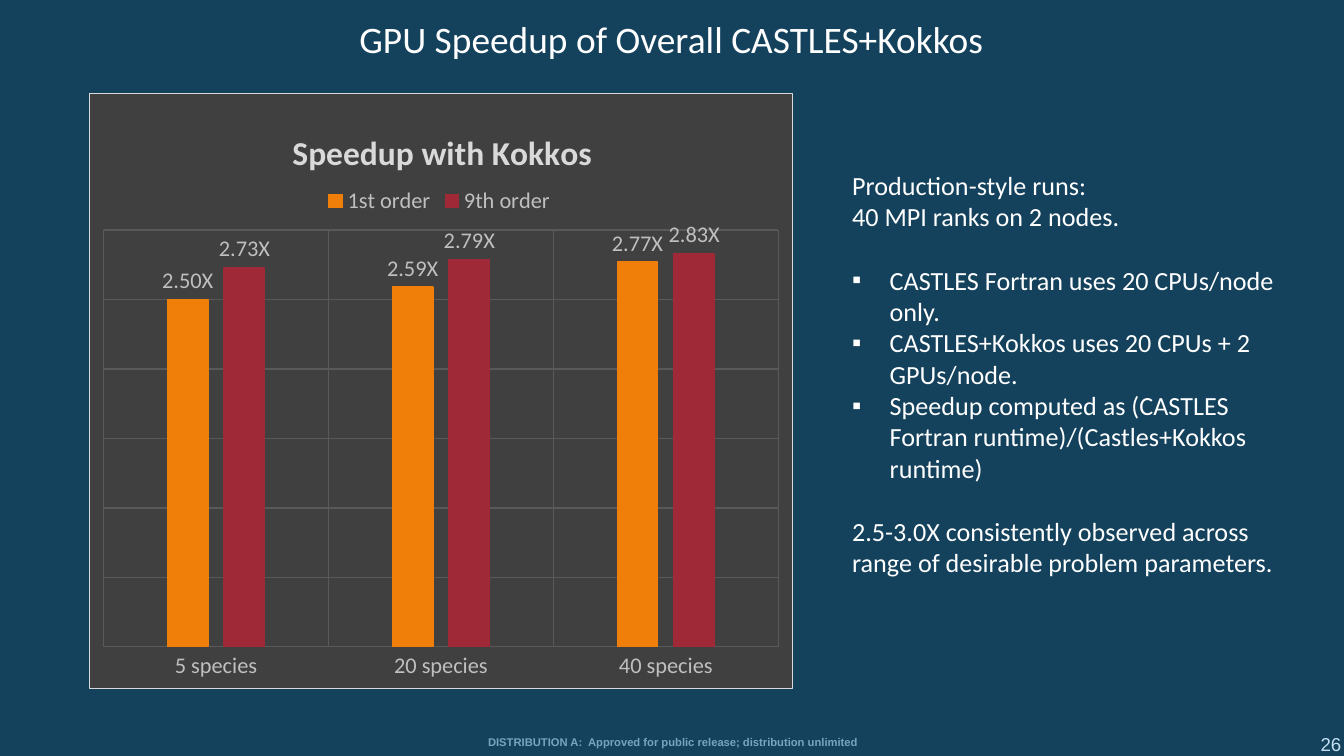
from lxml.etree import SubElement
from pptx import Presentation
from pptx.chart.data import CategoryChartData
from pptx.dml.color import RGBColor
from pptx.enum.chart import XL_CHART_TYPE, XL_LABEL_POSITION, XL_LEGEND_POSITION, XL_TICK_MARK
from pptx.enum.text import MSO_ANCHOR, MSO_AUTO_SIZE, PP_ALIGN
from pptx.oxml import parse_xml
from pptx.oxml.ns import nsdecls, qn
from pptx.util import Cm, Pt

BACKGROUND = "14425D"
WHITE = "FFFFFF"
PANEL = "404040"
GRID = "595959"
LABEL = "BFBFBF"
BORDER = "D9D9D9"

CATEGORIES = ["5 species", "20 species", "40 species"]
SERIES = [
    ("1st order", "F07F09", [2.50, 2.59, 2.77]),
    ("9th order", "9F2936", [2.73, 2.79, 2.83]),
]
BODY = [
    ("Production-style runs:", False, 0),
    ("40 MPI ranks on 2 nodes.", False, 0),
    ("CASTLES Fortran uses 20 CPUs/node only.", True, 17),
    ("CASTLES+Kokkos uses 20 CPUs + 2 GPUs/node.", True, 0),
    ("Speedup computed as (CASTLES Fortran runtime)/(Castles+Kokkos runtime)", True, 0),
    ("2.5-3.0X consistently observed across range of desirable problem parameters.", False, 17),
]


def color(value):
    return RGBColor.from_string(value)


def format_font(font, size, fill, name="Calibri", bold=False):
    font.size = Pt(size)
    font.name = name
    font.bold = bold
    font.color.rgb = color(fill)


def write_text(para, text, size=14, fill=WHITE, name="Calibri", bold=False,
               align=PP_ALIGN.LEFT, before=0):
    para.alignment = align
    para.space_before = Pt(before)
    span = para.add_run()
    span.text = text
    format_font(span.font, size, fill, name, bold)


def set_bullet(para, bulleted):
    properties = para._p.get_or_add_pPr()
    indent = Cm(0.71) if bulleted else 0
    properties.set("marL", str(indent))
    properties.set("indent", str(-indent))
    if bulleted:
        SubElement(properties, qn("a:buChar"), char="▪")
    else:
        SubElement(properties, qn("a:buNone"))


def place(box, left, top, width, height, anchor):
    box.left, box.top = Cm(left), Cm(top)
    box.width, box.height = Cm(width), Cm(height)
    frame = box.text_frame
    frame.word_wrap = True
    frame.auto_size = MSO_AUTO_SIZE.NONE
    frame.vertical_anchor = anchor
    return frame


def add_text_box(page, left, top, width, height, text, anchor=MSO_ANCHOR.TOP, **style):
    box = page.shapes.add_textbox(0, 0, 0, 0)
    frame = place(box, left, top, width, height, anchor)
    write_text(frame.paragraphs[0], text, **style)


def fill_body(box):
    frame = place(box, 15.85, 3.05, 8.81, 8.03, MSO_ANCHOR.MIDDLE)
    for index, (text, bulleted, before) in enumerate(BODY):
        para = frame.add_paragraph() if index else frame.paragraphs[0]
        set_bullet(para, bulleted)
        write_text(para, text, before=before)


def set_layout(part, inner=False, **fractions):
    for old in part.findall(qn("c:layout")):
        part.remove(old)
    target = '<c:layoutTarget val="inner"/>' if inner else ""
    modes = "".join(f'<c:{key}Mode val="edge"/>' for key in "xy")
    values = "".join(f'<c:{key} val="{value}"/>' for key, value in fractions.items())
    layout = parse_xml(
        f'<c:layout {nsdecls("c")}><c:manualLayout>{target}{modes}{values}'
        "</c:manualLayout></c:layout>"
    )
    part.insert(0 if inner else 1, layout)


def style_panel(chart):
    panel = parse_xml(
        f'<c:spPr {nsdecls("c", "a")}>'
        f'<a:solidFill><a:srgbClr val="{PANEL}"/></a:solidFill>'
        f'<a:ln w="{Pt(0.75)}"><a:solidFill><a:srgbClr val="{BORDER}"/></a:solidFill></a:ln>'
        "</c:spPr>"
    )
    chart.element.find(qn("c:txPr")).addprevious(panel)


def style_axis(axis):
    axis.has_major_gridlines = True
    line = axis.major_gridlines.format.line
    line.color.rgb = color(GRID)
    line.width = Pt(0.75)
    axis.major_tick_mark = XL_TICK_MARK.NONE
    axis.format.line.fill.background()
    format_font(axis.tick_labels.font, 12, LABEL)


def style_series(series, fill):
    series.format.fill.solid()
    series.format.fill.fore_color.rgb = color(fill)
    series.format.line.color.rgb = color(fill)
    series.format.line.width = Pt(0.75)
    labels = series.data_labels
    labels.show_value = True
    labels.number_format = '0.00"X"'
    labels.number_format_is_linked = False
    labels.position = XL_LABEL_POSITION.OUTSIDE_END
    format_font(labels.font, 12, LABEL)


def add_speedup_chart(page):
    data = CategoryChartData()
    data.categories = CATEGORIES
    for name, fill, values in SERIES:
        data.add_series(name, values)
    chart = page.shapes.add_chart(
        XL_CHART_TYPE.COLUMN_CLUSTERED, Cm(1.68), Cm(1.75), Cm(13.31), Cm(11.28), data
    ).chart
    format_font(chart.font, 10, LABEL)
    style_panel(chart)

    chart.has_title = True
    write_text(chart.chart_title.text_frame.paragraphs[0], "Speedup with Kokkos",
               size=18, fill=BORDER, bold=True, align=PP_ALIGN.CENTER)
    chart.has_legend = True
    chart.legend.position = XL_LEGEND_POSITION.TOP
    chart.legend.include_in_layout = False
    format_font(chart.legend.font, 12, LABEL)

    style_axis(chart.category_axis)
    style_axis(chart.value_axis)
    chart.value_axis.minimum_scale = 0
    chart.value_axis.maximum_scale = 3
    chart.value_axis.major_unit = 0.5
    chart.value_axis.visible = False

    plot = chart.plots[0]
    plot.gap_width = 315
    plot.overlap = -40
    plot.vary_by_categories = False
    for series, (name, fill, values) in zip(plot.series, SERIES):
        style_series(series, fill)

    body = chart.element.find(qn("c:chart"))
    set_layout(body.find(qn("c:title")), x=0.28, y=0.05)
    set_layout(body.find(qn("c:legend")), x=0.33, y=0.15)
    set_layout(body.find(qn("c:plotArea")), inner=True, x=0.02, y=0.23, w=0.96, h=0.7)


def main():
    deck = Presentation()
    deck.slide_width, deck.slide_height = Cm(25.4), Cm(14.29)
    page = deck.slides.add_slide(deck.slide_layouts[1])
    page.background.fill.solid()
    page.background.fill.fore_color.rgb = color(BACKGROUND)

    title = place(page.shapes.title, 0.56, 0.15, 24.26, 1.14, MSO_ANCHOR.MIDDLE)
    write_text(title.paragraphs[0], "GPU Speedup of Overall CASTLES+Kokkos",
               size=20, align=PP_ALIGN.CENTER)
    fill_body(page.placeholders[1])
    add_speedup_chart(page)
    add_text_box(page, 1.07, 13.77, 23.29, 0.51,
                 "DISTRIBUTION A:  Approved for public release; distribution unlimited",
                 size=6, fill="77A4BF", name="Arial", bold=True, align=PP_ALIGN.CENTER)
    add_text_box(page, 24.13, 13.72, 1.47, 0.69, "26", anchor=MSO_ANCHOR.BOTTOM,
                 size=10, fill="C4E1F2", name="Arial", align=PP_ALIGN.RIGHT)
    deck.save("out.pptx")


if __name__ == "__main__":
    main()
